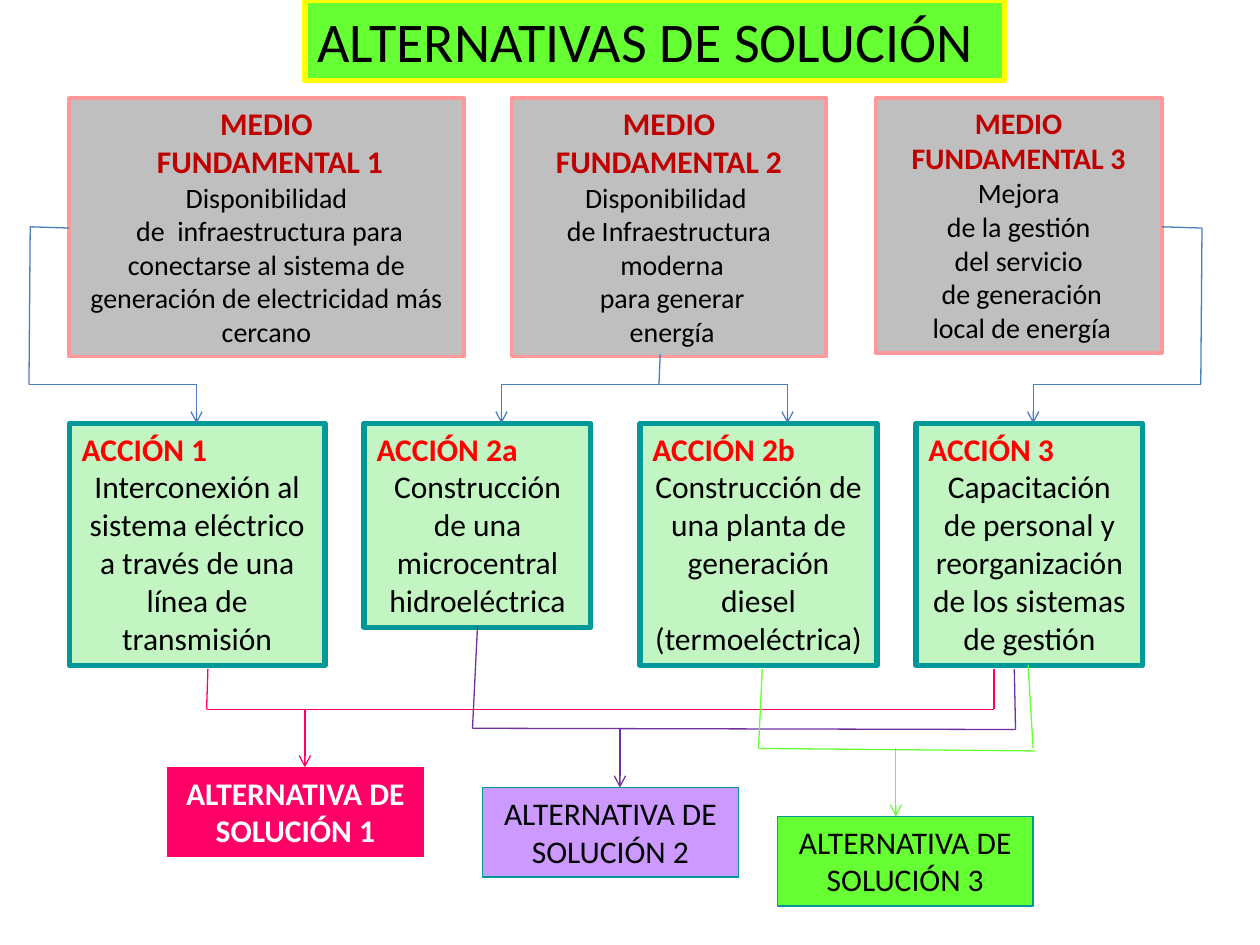
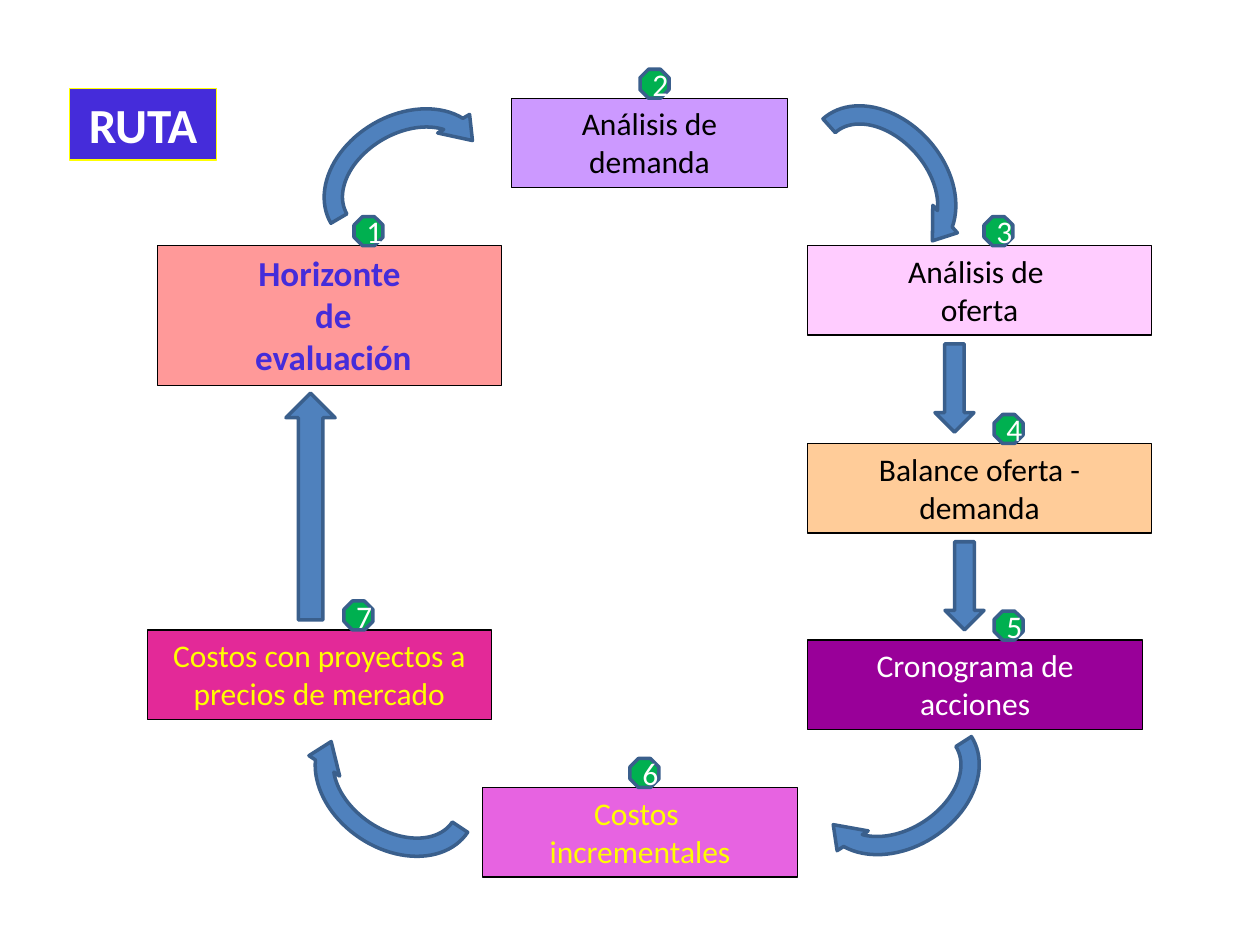
from itertools import pairwise

from lxml import etree
from pptx import Presentation
from pptx.dml.color import RGBColor
from pptx.enum import shapes, text
from pptx.oxml import ns
from pptx.util import Inches, Pt

# Shared look
FONT = "Calibri"
BLACK, WHITE, YELLOW = "000000", "FFFFFF", "FFFF00"
GREEN, PINK, VIOLET, LILAC = "66FF33", "FF0066", "7030A0", "CC99FF"
BLUE, INDIGO, TEAL = "4B7EBC", "452CDA", "009999"
ARROW_FILL, ARROW_LINE = "4F81BD", "3A5F8C"
LEFT, CENTER = text.PP_ALIGN.LEFT, text.PP_ALIGN.CENTER
SHAPE = shapes.MSO_SHAPE


def rgb(color):
    return RGBColor.from_string(color)


def paint(sp, fill, line, width):
    sp.fill.solid()
    sp.fill.fore_color.rgb = rgb(fill)
    sp.line.color.rgb = rgb(line)
    sp.line.width = Pt(width)


def write(tf, paragraphs):
    """Each paragraph is (words, size, color, bold, alignment)."""
    for i, (words, size, color, bold, align) in enumerate(paragraphs):
        p = tf.add_paragraph() if i else tf.paragraphs[0]
        p.text = words
        p.alignment = align
        p.font.name = FONT
        p.font.size = Pt(size)
        p.font.bold = bold
        p.font.color.rgb = rgb(color)


def box(s, at, fill, line, width, paragraphs):
    sp = s.shapes.add_textbox(*map(Inches, at))
    paint(sp, fill, line, width)
    tf = sp.text_frame
    tf.word_wrap = True
    tf.auto_size = text.MSO_AUTO_SIZE.SHAPE_TO_FIT_TEXT
    write(tf, paragraphs)


def centered(lines, size, color, bold=False):
    return [(line, size, color, bold, CENTER) for line in lines]


def preset(s, kind, at, fill, rotation=0):
    sp = s.shapes.add_shape(kind, *map(Inches, at))
    sp.shadow.inherit = False
    sp.rotation = rotation
    paint(sp, fill, ARROW_LINE, 2)
    return sp


def badge(s, number, left, top):
    sp = preset(s, SHAPE.OCTAGON, (left, top, 0.23, 0.23), "00B050")
    write(sp.text_frame, centered([str(number)], 18, WHITE))


def path(s, color, points, arrow=False):
    """Joined straight lines, with an optional arrowhead on the last one."""
    for start, end in pairwise(points):
        line = s.shapes.add_connector(
            shapes.MSO_CONNECTOR.STRAIGHT, *map(Inches, start + end))
        line.line.color.rgb = rgb(color)
        line.line.width = Pt(0.75)
        etree.SubElement(line._element.spPr, ns.qn("a:effectLst"))
    if arrow:
        etree.SubElement(line.line._get_or_add_ln(), ns.qn("a:tailEnd"), type="arrow")


def alternatives_slide(s):
    box(s, (2.42, 0, 5.55, 0.64), GREEN, YELLOW, 3,
        [("ALTERNATIVAS DE SOLUCIÓN", 32, BLACK, False, LEFT)])

    # Fundamental means
    means = [
        (0.55, 3.13, 2.05, 18, ["MEDIO", " FUNDAMENTAL 1"],
         ["Disponibilidad", " de  infraestructura para conectarse al sistema de "
          "generación de electricidad más cercano"]),
        (4.06, 2.5, 2.05, 18, ["MEDIO FUNDAMENTAL 2"],
         ["Disponibilidad ", "de Infraestructura", " moderna", " para generar", " energía"]),
        (6.95, 2.27, 2.02, 17, ["MEDIO FUNDAMENTAL 3"],
         ["Mejora", " de la gestión ", "del servicio", " de generación",
          " local de energía"]),
    ]
    for left, width, height, size, heading, lines in means:
        box(s, (left, 0.78, width, height), "BFBFBF", "FF9999", 2.25,
            centered(heading, size, "C00000", True) + centered(lines, 16, BLACK))

    # Actions
    actions = [
        (0.55, 2.03, 1.92, "1",
         "Interconexión al sistema eléctrico a través de una línea de transmisión"),
        (2.89, 1.8, 1.62, "2a", "Construcción de una microcentral hidroeléctrica"),
        (5.08, 1.88, 1.92, "2b",
         "Construcción de una planta de generación diesel (termoeléctrica)"),
        (7.27, 1.8, 1.92, "3",
         "Capacitación de personal y reorganización de los sistemas de gestión"),
    ]
    for left, width, height, code, words in actions:
        box(s, (left, 3.36, width, height), "C3F5C3", TEAL, 3,
            [(f"ACCIÓN {code}", 18, "FF0000", True, LEFT)] + centered([words], 18, BLACK))

    # Means to actions
    bar, action_top = 3.05, 3.36
    path(s, BLUE, [(0.55, 1.81), (0.24, 1.8), (0.23, bar), (1.56, bar)])
    path(s, BLUE, [(9.22, 1.8), (9.54, 1.81), (9.53, bar), (8.2, bar)])
    path(s, BLUE, [(5.24, 2.81), (5.23, bar)])
    path(s, BLUE, [(3.98, bar), (6.25, bar)])
    for x in (1.56, 3.98, 6.25, 8.2):
        path(s, BLUE, [(x, bar), (x, action_top)], arrow=True)

    # Actions to alternatives
    path(s, PINK, [(1.65, 5.31), (1.64, 5.63), (7.89, 5.63), (7.89, 5.31)])
    path(s, VIOLET, [(3.79, 4.97), (3.75, 5.78), (8.06, 5.79), (8.05, 5.31)])
    path(s, GREEN, [(6.05, 5.31), (6.02, 5.94), (8.22, 5.96)])
    path(s, GREEN, [(8.16, 5.28), (8.2, 5.94)])

    alternatives = [
        (1.33, 6.09, PINK, PINK, WHITE, True, PINK, 2.42, 5.63),
        (3.83, 6.25, LILAC, TEAL, BLACK, False, VIOLET, 4.92, 5.78),
        (6.17, 6.48, GREEN, TEAL, BLACK, False, GREEN, 7.11, 5.94),
    ]
    for n, (left, top, fill, edge, ink, bold, color, x, y) in enumerate(alternatives, 1):
        box(s, (left, top, 2.03, 0.71), fill, edge, 0.75,
            centered([f"ALTERNATIVA DE SOLUCIÓN {n}"], 18, ink, bold))
        path(s, color, [(x, y), (x, top)], arrow=True)


def route_slide(s):
    # Arrows between steps
    for left, top, rotation in [(6.23, 0.87, 48.1), (2.46, 0.84, 329.7),
                                (6.37, 5.63, 147.5), (2.38, 5.64, 213.6)]:
        preset(s, SHAPE.CIRCULAR_ARROW, (left, top, 1.52, 1.17), ARROW_FILL, rotation)
    for at, rotation in [((7.42, 2.73, 0.31, 0.7), 0), ((7.5, 4.3, 0.31, 0.7), 0),
                         ((2.27, 3.12, 0.39, 1.8), 180)]:
        preset(s, SHAPE.DOWN_ARROW, at, ARROW_FILL, rotation)

    # Steps, each with its number on the top edge
    steps = [
        ((1.25, 1.95, 2.73, 1.11), 2.81, "FF9999",
         centered(["Horizonte", " de", " evaluación"], 20, INDIGO, True)),
        ((4.06, 0.78, 2.19, 0.71), 5.08, LILAC,
         centered(["Análisis de demanda"], 18, BLACK)),
        ((6.41, 1.95, 2.73, 0.71), 7.81, "FFCCFF",
         centered(["Análisis de ", "oferta"], 18, BLACK)),
        ((6.41, 3.52, 2.73, 0.71), 7.89, "FFCC99",
         centered(["Balance oferta - demanda"], 18, BLACK)),
        ((6.41, 5.08, 2.66, 0.71), 7.89, "990099",
         centered(["Cronograma de acciones"], 18, WHITE)),
        ((3.83, 6.25, 2.5, 0.71), 5, "E763E1",
         centered(["Costos ", "incrementales"], 18, YELLOW)),
        ((1.17, 5, 2.73, 0.71), 2.73, "E32998",
         centered(["Costos con proyectos a precios de mercado"], 18, YELLOW)),
    ]
    for number, (at, badge_left, fill, paragraphs) in enumerate(steps, 1):
        box(s, at, fill, BLACK, 0.75, paragraphs)
        badge(s, number, badge_left, at[1] - 0.23)

    box(s, (0.55, 0.7, 1.17, 0.57), INDIGO, YELLOW, 0.75,
        centered(["RUTA"], 28, WHITE, True))


def main():
    prs = Presentation()
    prs.slide_width, prs.slide_height = Inches(10), Inches(7.5)
    for build in (alternatives_slide, route_slide):
        build(prs.slides.add_slide(prs.slide_layouts[6]))
    prs.save("out.pptx")


if __name__ == "__main__":
    main()
